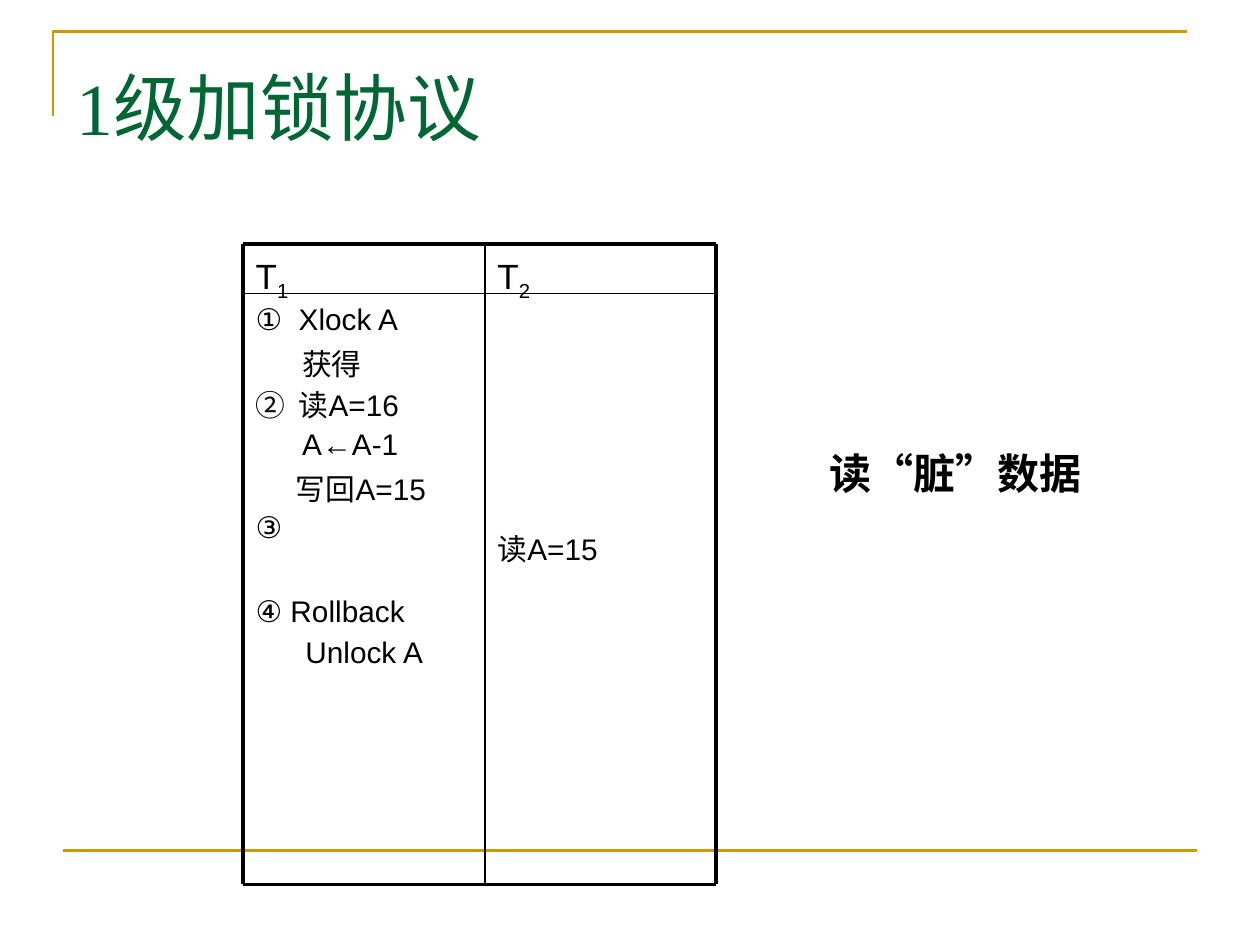
import lxml.etree
import pptx
import pptx.dml.color
import pptx.enum.shapes
import pptx.enum.text
import pptx.oxml.ns
import pptx.util
from dataclasses import dataclass

Inches, Pt = pptx.util.Inches, pptx.util.Pt
ALIGN = pptx.enum.text.PP_ALIGN


@dataclass(frozen=True)
class Theme:
    gold: str = "CC9900"
    green: str = "006633"
    black: str = "000000"
    serif: str = "Times New Roman"
    sans: str = "Arial"
    title: int = 42
    note: int = 24
    header: int = 20
    body: int = 17
    pitch: float = 23.8
    chinese_drop: float = 1.7
    rule: float = 1.5
    frame: float = 2.25
    inner: float = 1


theme = Theme()


def add_run(paragraph, text, face, size, color, bold=False):
    run = paragraph.add_run()
    run.text = text
    run.font.name, run.font.size, run.font.bold = face, Pt(size), bold
    run.font.color.rgb = pptx.dml.color.RGBColor.from_string(color)
    return run


def add_rule(start, end, color, width):
    rule = slide.shapes.add_connector(
        pptx.enum.shapes.MSO_CONNECTOR.STRAIGHT, *map(Inches, start + end)
    )
    rule.line.color.rgb = pptx.dml.color.RGBColor.from_string(color)
    rule.line.width = Pt(width)
    lxml.etree.SubElement(rule._element.spPr, pptx.oxml.ns.qn("a:effectLst"))


deck = pptx.Presentation()
deck.slide_width, deck.slide_height = Inches(10), Inches(7.5)
slide = deck.slides.add_slide(deck.slide_layouts[6])

corner_path = slide.shapes.build_freeform(Inches(0.42), Inches(0.92))
corner_path.add_line_segments(
    [(Inches(0.42), Inches(0.25)), (Inches(9.42), Inches(0.25))], close=False
)
corner = corner_path.convert_to_shape()
corner.shadow.inherit = False
corner.fill.background()
corner.line.color.rgb = pptx.dml.color.RGBColor.from_string(theme.gold)
corner.line.width = Pt(theme.rule)
add_rule((0.5, 6.75), (9.5, 6.75), theme.gold, theme.rule)

labels = [
    ("1级加锁协议", (0.51, 0.43, 9, 0.83), theme.title, theme.green, False, ALIGN.LEFT, True),
    ("读“脏”数据", (6.17, 3.42, 2.83, 0.67), theme.note, theme.black, True, ALIGN.CENTER, False),
]
for text, place, size, color, bold, align, wrap in labels:
    frame = slide.shapes.add_textbox(*map(Inches, place)).text_frame
    frame.word_wrap = wrap
    frame.vertical_anchor = pptx.enum.text.MSO_ANCHOR.MIDDLE
    frame.paragraphs[0].alignment = align
    add_run(frame.paragraphs[0], text, theme.serif, size, color, bold)

column_edges = (1.93, 3.85, 5.68)
row_edges = (1.94, 2.33, 7.02)
left, _, right = column_edges
top, header_bottom, bottom = row_edges

steps_t1 = [
    ("①\u00a0 Xlock A", 0, 0, False),
    ("获得", 0.37, 0, True),
    ("②\u00a0 读A=16", 0, 0, True),
    ("A←A-1", 0.37, 0, False),
    ("写回A=15", 0.32, 0, True),
    ("③", 0, 0, False),
    ("④ Rollback", 0, theme.pitch, False),
    ("Unlock A", None, 0, False),
]
steps_t2 = [("读A=15", 0, 0, True)]
transactions = [("1", steps_t1, 0.01), ("2", steps_t2, 1.81)]

for c, (number, steps, first_line) in enumerate(transactions):
    x, width = column_edges[c], column_edges[c + 1] - column_edges[c]
    body = slide.shapes.add_textbox(
        Inches(x), Inches(header_bottom), Inches(width), Inches(bottom - header_bottom)
    ).text_frame
    body.word_wrap = True
    body.margin_top = Inches(first_line)
    previous_drop = 0
    for i, (text, indent, gap, chinese) in enumerate(steps):
        step = body.add_paragraph() if i else body.paragraphs[0]
        drop = theme.chinese_drop if chinese else 0
        step.line_spacing = Pt(theme.pitch + drop - previous_drop)
        previous_drop = drop
        step.alignment = ALIGN.CENTER if indent is None else ALIGN.JUSTIFY
        if gap:
            step.space_before = Pt(gap)
        if indent:
            step._p.get_or_add_pPr().set("marL", str(int(Inches(indent))))
        add_run(step, text, theme.sans, theme.body, theme.black)

    header = slide.shapes.add_textbox(
        Inches(x), Inches(top), Inches(width), Inches(header_bottom - top)
    ).text_frame
    header.word_wrap = True
    header.margin_top = Inches(0.08)
    heading = header.paragraphs[0]
    add_run(heading, "T", theme.sans, theme.header, theme.black)
    subscript = add_run(heading, number, theme.sans, theme.header, theme.black)
    subscript._r.get_or_add_rPr().set("baseline", "-25000")

for i, weight in enumerate((theme.frame, theme.inner, theme.frame)):
    add_rule((left, row_edges[i]), (right, row_edges[i]), theme.black, weight)
    add_rule((column_edges[i], top), (column_edges[i], bottom), theme.black, weight)

deck.save("out.pptx")
